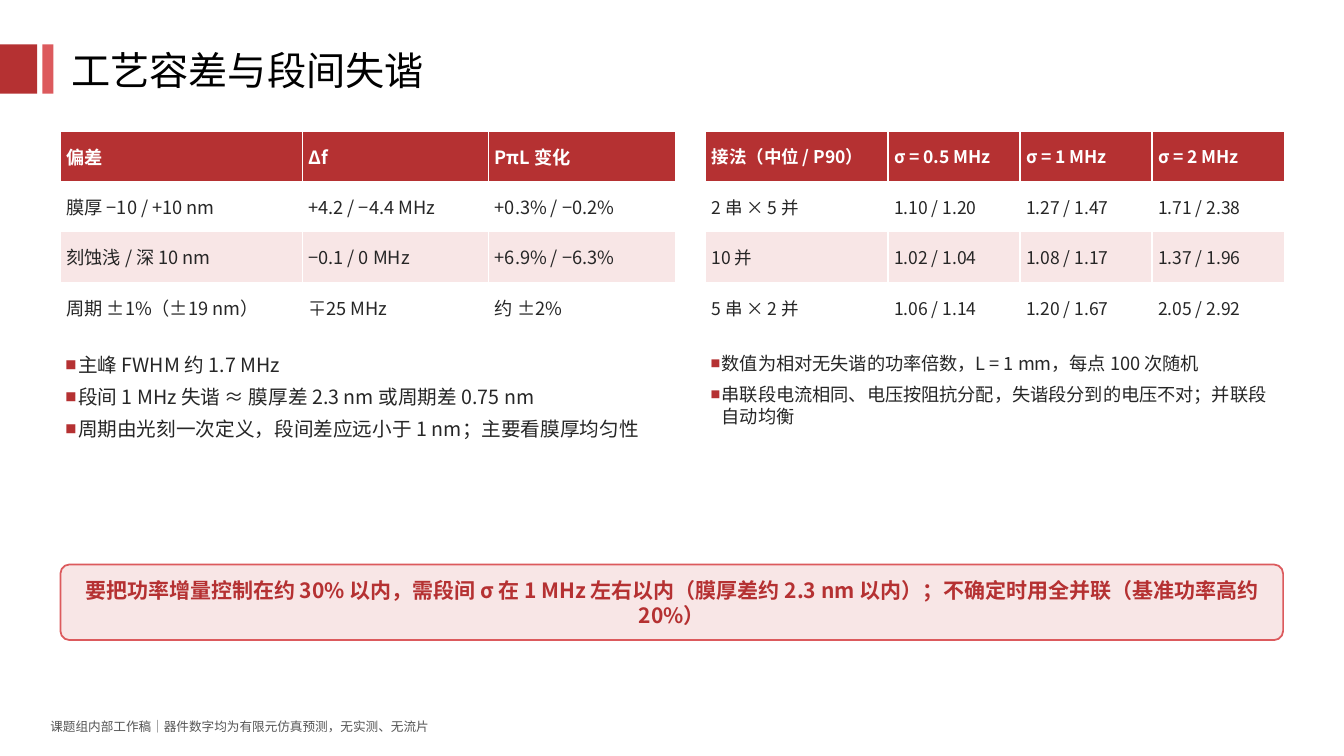
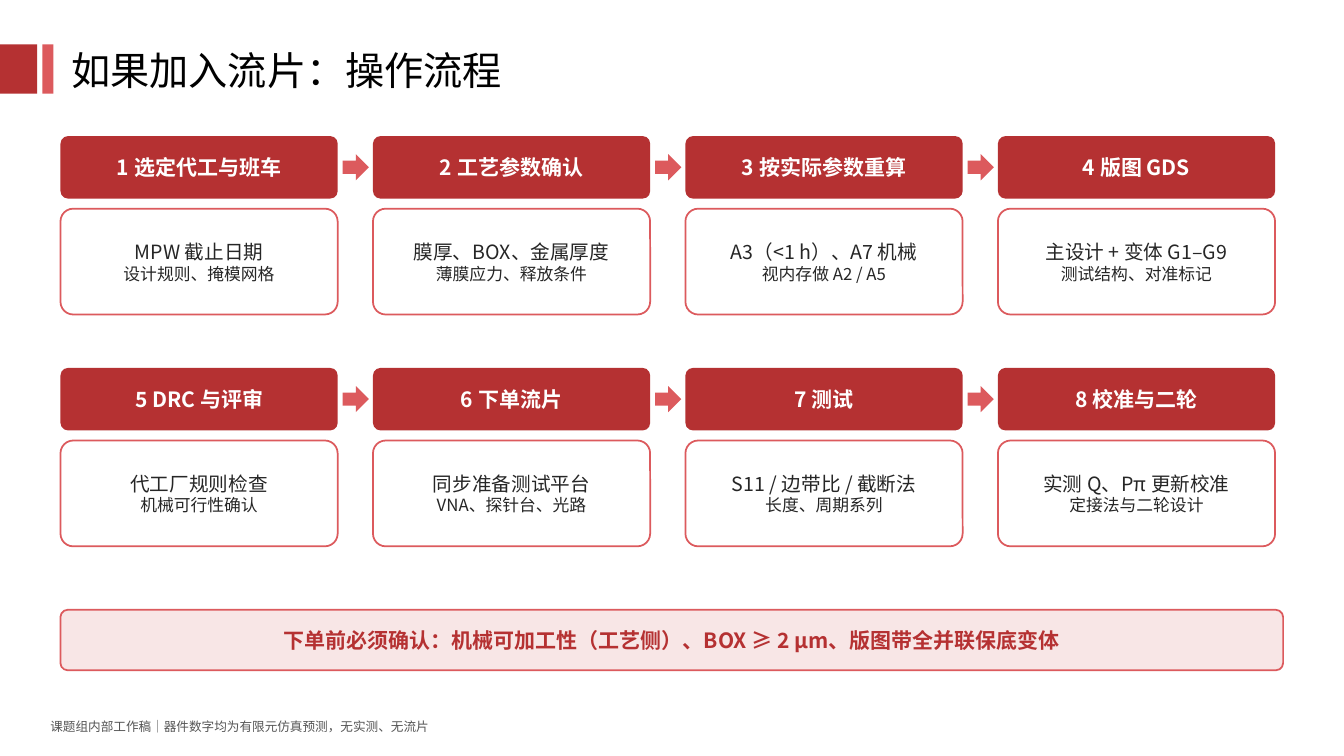
"""Build two slides on process tolerance and the tape-out workflow."""
from dataclasses import dataclass

from lxml import etree
from pptx import Presentation
from pptx import util as u
from pptx.dml import color
from pptx.enum import shapes, text
from pptx.oxml import ns

Pt = u.Pt


@dataclass(frozen=True)
class Theme:
    """Colours, type sizes and shared measures in points."""
    font: str = "Noto Sans CJK SC"
    red: str = "B53132"
    coral: str = "DC5A5D"
    blush: str = "F8E6E6"
    white: str = "FFFFFF"
    black: str = "000000"
    ink: str = "262626"
    grey: str = "555555"
    title: float = 28
    strong: float = 15
    body: float = 14
    table: float = 13
    detail: float = 12
    footer: float = 9
    left: float = 43.2
    content_width: float = 873.36
    outline: float = 1.25
    rounding: float = 0.12


THEME = Theme()
FOOTER = "课题组内部工作稿｜器件数字均为有限元仿真预测，无实测、无流片"


def write(paragraph, content, *, size=THEME.body, ink=THEME.ink, bold=False,
          align=None, after=None, bullet=None):
    """Fill a paragraph with formatted text, with a square bullet sized in percent if given."""
    if bullet:
        props = paragraph._p.get_or_add_pPr()
        hang = Pt(size * bullet / 100 + 1)
        props.set("marL", str(hang))
        props.set("indent", str(-hang))
        tint = etree.SubElement(props, ns.qn("a:buClr"))
        etree.SubElement(tint, ns.qn("a:srgbClr"), val=THEME.red)
        etree.SubElement(props, ns.qn("a:buSzPct"), val=str(bullet * 1000))
        etree.SubElement(props, ns.qn("a:buFont"), typeface=THEME.font)
        etree.SubElement(props, ns.qn("a:buChar"), char="■")
    if align is not None:
        paragraph.alignment = align
    if after is not None:
        paragraph.space_after = Pt(after)
    run = paragraph.add_run()
    run.text = content
    font = run.font
    font.size = Pt(size)
    font.bold = bold
    font.color.rgb = color.RGBColor.from_string(ink)
    font.name = THEME.font
    etree.SubElement(run._r.get_or_add_rPr(), ns.qn("a:ea"), typeface=THEME.font)


def paragraphs(frame, count):
    """Return the first paragraph of a frame followed by new ones."""
    return [frame.paragraphs[0]] + [frame.add_paragraph() for _ in range(count - 1)]


def paint(fill, shade):
    """Give a fill one solid colour."""
    fill.solid()
    fill.fore_color.rgb = color.RGBColor.from_string(shade)


def inset(holder, side, top):
    """Set equal horizontal and equal vertical margins."""
    holder.margin_left = holder.margin_right = Pt(side)
    holder.margin_top = holder.margin_bottom = Pt(top)


class Deck:
    """Holds the presentation, its theme and the current slide."""

    def __init__(self, theme):
        """Start a widescreen presentation."""
        self.theme = theme
        self.show = Presentation()
        self.show.slide_width, self.show.slide_height = Pt(960), Pt(540)
        self.slide = None

    def page(self, heading):
        """Add a slide with the title marks, title and footer."""
        t = self.theme
        self.slide = self.show.slides.add_slide(self.show.slide_layouts[6])
        self.shape(0, 31.68, 26.64, 35.28, fill=t.red)
        self.shape(30.24, 31.68, 7.92, 35.28, fill=t.coral)
        self.lines(43.92, 29.52, 763.2, 41.04, [heading], side=7.2,
                   size=t.title, ink=t.black)
        self.lines(32.4, 509.76, 684, 21.6, [FOOTER], size=t.footer,
                   ink=t.grey, after=4)

    def shape(self, x, y, w, h, *, fill, line=None, kind=shapes.MSO_SHAPE.RECTANGLE):
        """Add a flat preset shape."""
        form = self.slide.shapes.add_shape(kind, Pt(x), Pt(y), Pt(w), Pt(h))
        form.shadow.inherit = False
        paint(form.fill, fill)
        if line:
            form.line.color.rgb = color.RGBColor.from_string(line)
            form.line.width = Pt(self.theme.outline)
        else:
            form.line.fill.background()
        return form

    def lines(self, x, y, w, h, contents, *, side=3.6, **style):
        """Add a text box with one paragraph per entry."""
        frame = self.slide.shapes.add_textbox(Pt(x), Pt(y), Pt(w), Pt(h)).text_frame
        frame.word_wrap = True
        frame.auto_size = text.MSO_AUTO_SIZE.SHAPE_TO_FIT_TEXT
        inset(frame, side, 3.6)
        for paragraph, content in zip(paragraphs(frame, len(contents)), contents):
            write(paragraph, content, **style)

    def card(self, x, y, w, h, entries, *, fill, line=None, ink, bold=False):
        """Add a rounded box with centred (text, size) entries."""
        box = self.shape(x, y, w, h, fill=fill, line=line,
                         kind=shapes.MSO_SHAPE.ROUNDED_RECTANGLE)
        box.adjustments[0] = self.theme.rounding
        frame = box.text_frame
        frame.word_wrap = True
        frame.vertical_anchor = text.MSO_ANCHOR.MIDDLE
        inset(frame, 4.32, 2.16)
        for paragraph, (content, size) in zip(paragraphs(frame, len(entries)), entries):
            write(paragraph, content, size=size, ink=ink, bold=bold,
                  align=text.PP_ALIGN.CENTER)

    def conclusion(self, y, h, content):
        """Add the full-width highlighted message."""
        t = self.theme
        self.card(t.left, y, t.content_width, h, [(content, t.strong)],
                  fill=t.blush, line=t.coral, ink=t.red, bold=True)

    def table(self, x, y, widths, rows, *, size, row_height=36):
        """Add a table with a red header and alternating body rows."""
        t = self.theme
        grid = self.slide.shapes.add_table(
            len(rows), len(widths), Pt(x), Pt(y),
            Pt(sum(widths)), Pt(row_height * len(rows))).table
        grid.horz_banding = False
        for column, width in zip(grid.columns, widths):
            column.width = Pt(width)
        for r, row in enumerate(rows):
            header = r == 0
            shade = t.red if header else (t.white if r % 2 else t.blush)
            for c, content in enumerate(row):
                cell = grid.cell(r, c)
                paint(cell.fill, shade)
                inset(cell, 4.32, 2.16)
                cell.vertical_anchor = text.MSO_ANCHOR.MIDDLE
                write(cell.text_frame.paragraphs[0], content, size=size,
                      ink=t.white if header else t.ink, bold=header)

    def step(self, x, y, heading, task, detail, *, arrow):
        """Add a workflow step and, if asked, the arrow to the next one."""
        t = self.theme
        width, head, tip = 198, 44.64, 18.72
        self.card(x, y, width, head, [(heading, t.strong)],
                  fill=t.red, ink=t.white, bold=True)
        self.card(x, y + 51.84, width, 75.6, [(task, t.body), (detail, t.detail)],
                  fill=t.white, line=t.coral, ink=t.ink)
        if arrow:
            self.shape(x + width + 3.6, y + (head - tip) / 2, tip, tip,
                       fill=t.coral, kind=shapes.MSO_SHAPE.RIGHT_ARROW)


DEVIATIONS = [
    ("偏差", "Δf", "PπL 变化"),
    ("膜厚 −10 / +10 nm", "+4.2 / −4.4 MHz", "+0.3% / −0.2%"),
    ("刻蚀浅 / 深 10 nm", "−0.1 / 0 MHz", "+6.9% / −6.3%"),
    ("周期 ±1%（±19 nm）", "∓25 MHz", "约 ±2%"),
]
WIRINGS = [
    ("接法（中位 / P90）", "σ = 0.5 MHz", "σ = 1 MHz", "σ = 2 MHz"),
    ("2 串 × 5 并", "1.10 / 1.20", "1.27 / 1.47", "1.71 / 2.38"),
    ("10 并", "1.02 / 1.04", "1.08 / 1.17", "1.37 / 1.96"),
    ("5 串 × 2 并", "1.06 / 1.14", "1.20 / 1.67", "2.05 / 2.92"),
]
TOLERANCE_NOTES = [
    "主峰 FWHM 约 1.7 MHz",
    "段间 1 MHz 失谐 ≈ 膜厚差 2.3 nm 或周期差 0.75 nm",
    "周期由光刻一次定义，段间差应远小于 1 nm；主要看膜厚均匀性",
]
WIRING_NOTES = [
    "数值为相对无失谐的功率倍数，L = 1 mm，每点 100 次随机",
    "串联段电流相同、电压按阻抗分配，失谐段分到的电压不对；并联段自动均衡",
]
STEPS = [
    ("选定代工与班车", "MPW 截止日期", "设计规则、掩模网格"),
    ("工艺参数确认", "膜厚、BOX、金属厚度", "薄膜应力、释放条件"),
    ("按实际参数重算", "A3（<1 h）、A7 机械", "视内存做 A2 / A5"),
    ("版图 GDS", "主设计 + 变体 G1–G9", "测试结构、对准标记"),
    ("DRC 与评审", "代工厂规则检查", "机械可行性确认"),
    ("下单流片", "同步准备测试平台", "VNA、探针台、光路"),
    ("测试", "S11 / 边带比 / 截断法", "长度、周期系列"),
    ("校准与二轮", "实测 Q、Pπ 更新校准", "定接法与二轮设计"),
]


def tolerance_page(deck):
    """Compare process deviations with wiring options."""
    t = deck.theme
    right, table_top, notes_top = 504, 93.6, 248.4
    deck.page("工艺容差与段间失谐")
    deck.table(t.left, table_top, [172.8, 133.2, 133.2], DEVIATIONS, size=t.table)
    deck.lines(t.left, notes_top, 439.2, 115.2, TOLERANCE_NOTES,
               size=t.body, after=6, bullet=57)
    deck.table(right, table_top, [130.32] + [94.32] * 3, WIRINGS, size=t.table - 0.5)
    deck.lines(right, notes_top, 410.4, 115.2, WIRING_NOTES,
               size=t.table, after=6, bullet=54)
    deck.conclusion(403.2, 54, "要把功率增量控制在约 30% 以内，需段间 σ 在 1 MHz 左右以内"
                    "（膜厚差约 2.3 nm 以内）；不确定时用全并联（基准功率高约 20%）")


def workflow_page(deck):
    """Lay out the eight tape-out steps in two rows."""
    columns = 4
    deck.page("如果加入流片：操作流程")
    for index, (heading, task, detail) in enumerate(STEPS):
        row, column = divmod(index, columns)
        deck.step(deck.theme.left + column * 223.2, 97.2 + row * 165.6,
                  f"{index + 1} {heading}", task, detail,
                  arrow=column < columns - 1)
    deck.conclusion(435.6, 43.2,
                    "下单前必须确认：机械可加工性（工艺侧）、BOX ≥ 2 µm、版图带全并联保底变体")


def main():
    """Build and save the slides."""
    deck = Deck(THEME)
    tolerance_page(deck)
    workflow_page(deck)
    deck.show.save("out.pptx")


if __name__ == "__main__":
    main()
